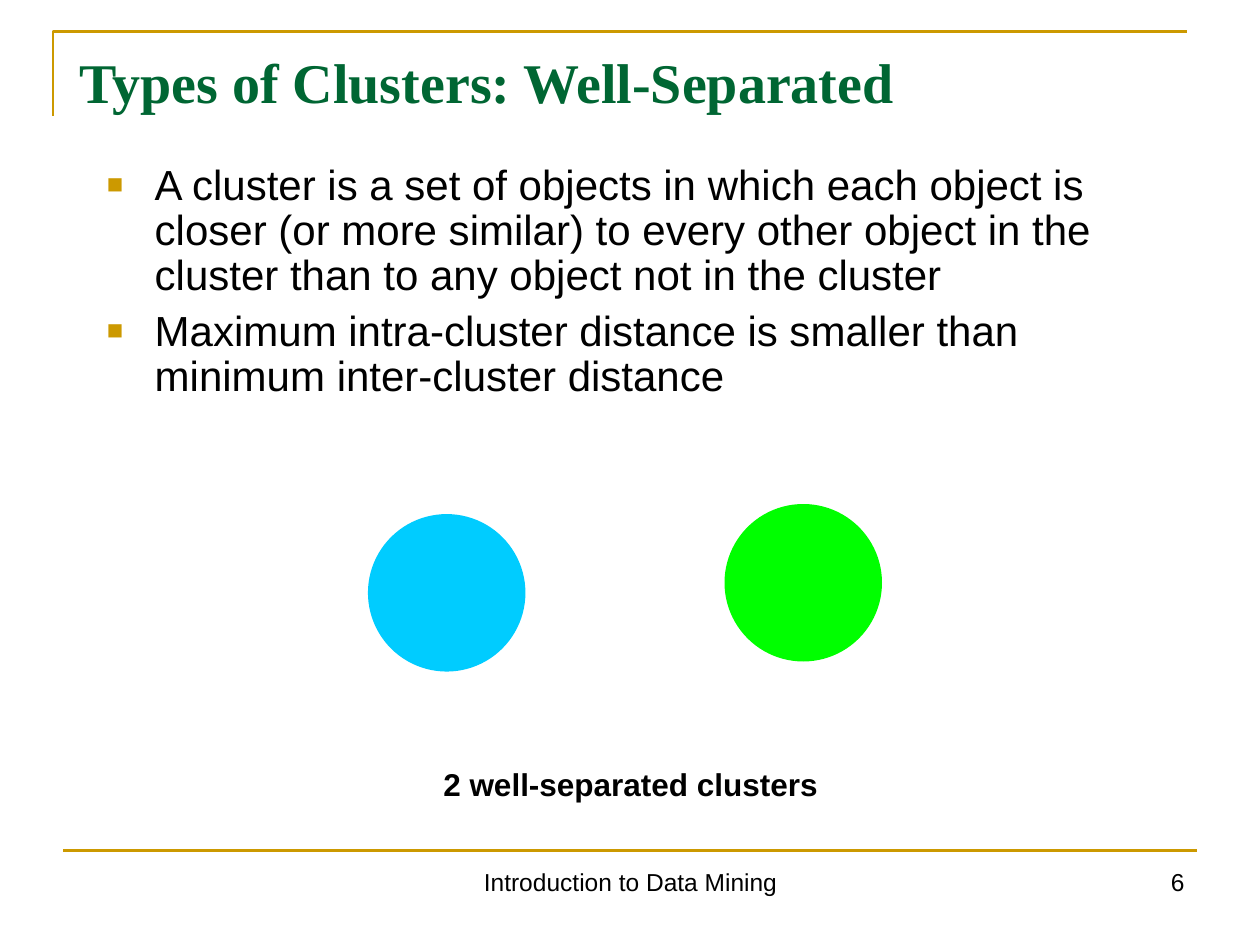
from lxml import etree
from pptx import Presentation
from pptx.dml.color import RGBColor
from pptx.enum.shapes import MSO_CONNECTOR, MSO_SHAPE
from pptx.enum.text import MSO_ANCHOR, PP_ALIGN
from pptx.oxml.ns import qn
from pptx.util import Inches, Pt

LEFT, CENTER, RIGHT = PP_ALIGN.LEFT, PP_ALIGN.CENTER, PP_ALIGN.RIGHT
TOP, BOTTOM = MSO_ANCHOR.TOP, MSO_ANCHOR.BOTTOM
STRAIGHT, OVAL = MSO_CONNECTOR.STRAIGHT, MSO_SHAPE.OVAL
GOLD, GREEN, BLACK = "CC9900", "006633", "000000"

BULLETS = [
    "A cluster is a set of objects in which each object is closer (or more "
    "similar) to every other object in the cluster than to any object not in "
    "the cluster",
    "Maximum intra-cluster distance is smaller than minimum inter-cluster distance",
]


def color(value):
    return RGBColor.from_string(value)


def add_text(page, area, lines, size, align=LEFT, hue=BLACK, font="Arial",
             bold=False, anchor=TOP):
    box = page.shapes.add_textbox(*map(Inches, area))
    frame = box.text_frame
    frame.word_wrap = True
    frame.vertical_anchor = anchor
    frame.text = "\n".join(lines)
    for para in frame.paragraphs:
        para.alignment = align
        for span in para.runs:
            span.font.size = Pt(size)
            span.font.name = font
            span.font.bold = bold
            span.font.color.rgb = color(hue)
    return frame


def add_bullet(para):
    props = para._p.get_or_add_pPr()
    props.set("marL", str(Inches(0.38)))
    props.set("indent", str(-Inches(0.38)))
    tint = etree.SubElement(props, qn("a:buClr"))
    etree.SubElement(tint, qn("a:srgbClr"), val=GOLD)
    etree.SubElement(props, qn("a:buSzPct"), val="65000")
    etree.SubElement(props, qn("a:buFont"), typeface="Arial")
    etree.SubElement(props, qn("a:buChar"), char="■")


def add_title(page, left, top, width, height):
    # Corner rule, open to the right and below
    builder = page.shapes.build_freeform(Inches(left), Inches(top + height))
    builder.add_line_segments(
        [(Inches(left), Inches(top)), (Inches(left + width), Inches(top))],
        close=False)
    corner = builder.convert_to_shape()
    corner.shadow.inherit = False
    corner.fill.background()
    corner.line.color.rgb = color(GOLD)
    corner.line.width = Pt(1.5)
    # Title
    frame = add_text(page, (left + 0.11, top + 0.06, width + 0.06, 0.6),
                     ["Types of Clusters: Well-Separated"], 32, hue=GREEN,
                     font="Times New Roman", bold=True, anchor=BOTTOM)
    frame.margin_bottom = 0


def add_body(page, left, top, width, height):
    frame = add_text(page, (left, top, width, height), BULLETS, 24)
    for index, para in enumerate(frame.paragraphs):
        para.line_spacing = 0.9
        para.space_before = Pt(6 if index else 0)
        add_bullet(para)


def add_clusters(page, left, top, width, height):
    size = 1.25
    # Two clusters, the right one slightly higher
    for x, y, hue in ((left, top + 0.08, "00CCFF"),
                      (left + width - size, top, "00FF00")):
        cluster = page.shapes.add_shape(
            OVAL, Inches(x), Inches(y), Inches(size), Inches(size))
        cluster.shadow.inherit = False
        cluster.fill.solid()
        cluster.fill.fore_color.rgb = color(hue)
        cluster.line.fill.background()
    # Caption
    add_text(page, (left + 0.5, top + height - 0.4, 3.5, 0.4),
             ["2 well-separated clusters"], 18, bold=True)


def add_footer(page, left, top, width, height):
    rule = page.shapes.add_connector(
        STRAIGHT, Inches(left), Inches(top), Inches(left + width), Inches(top))
    rule.line.color.rgb = color(GOLD)
    rule.line.width = Pt(1.5)
    etree.SubElement(rule._element.spPr, qn("a:effectLst"))
    # Course name and page number
    text_top, text_height = top + 0.08, height - 0.08
    add_text(page, (left + 2.92, text_top, 3.17, text_height),
             ["Introduction to Data Mining"], 14, CENTER)
    add_text(page, (left + width - 2.33, text_top, 2.33, text_height),
             ["6"], 14, RIGHT)


def main():
    deck = Presentation()
    deck.slide_width, deck.slide_height = Inches(10), Inches(7.5)
    page = deck.slides.add_slide(deck.slide_layouts[6])
    add_title(page, 0.42, 0.25, 9, 0.67)
    add_body(page, 0.75, 1.25, 8.66, 5.38)
    add_clusters(page, 2.92, 4, 4.08, 2.42)
    add_footer(page, 0.5, 6.75, 9, 0.6)
    deck.save("out.pptx")


if __name__ == "__main__":
    main()
